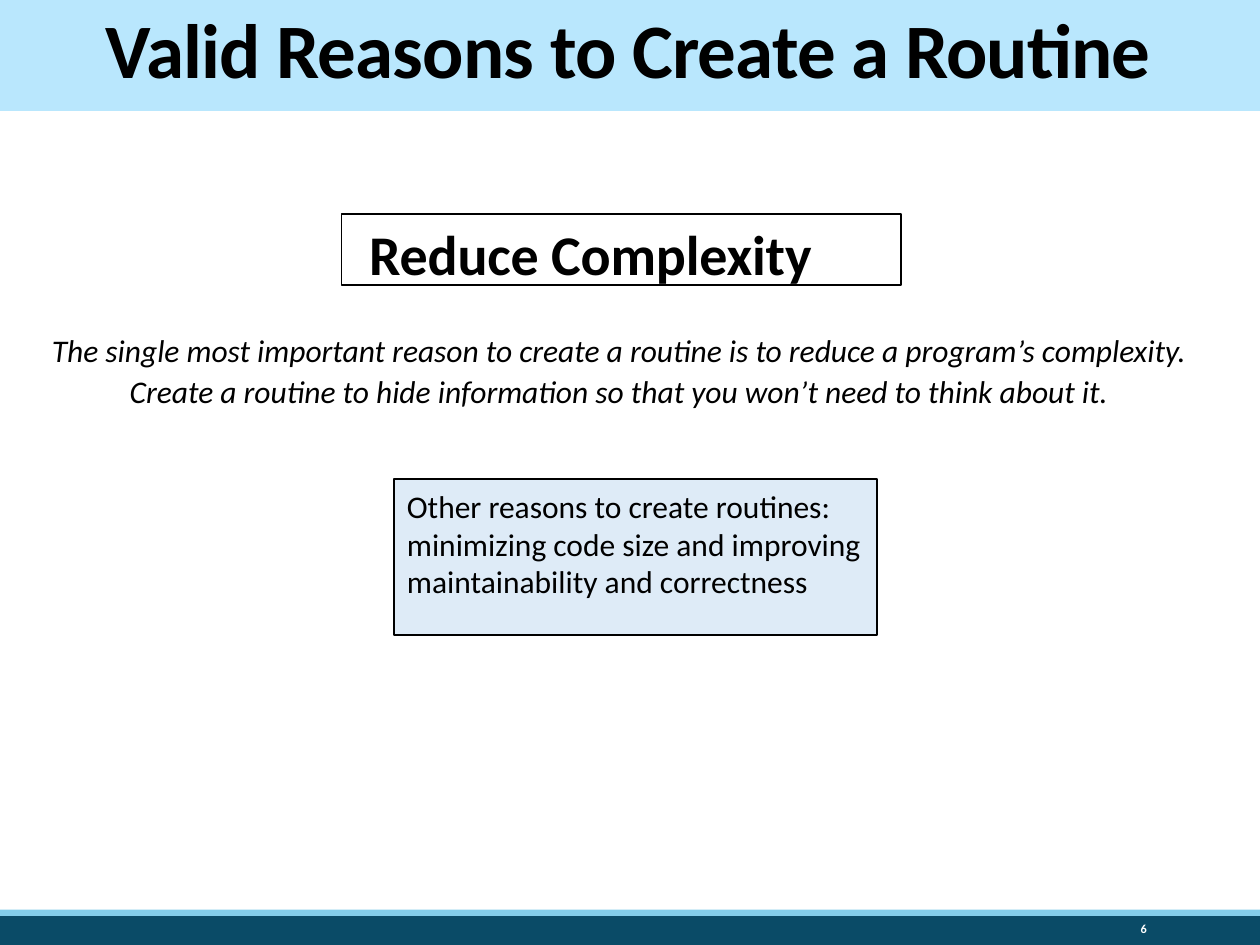
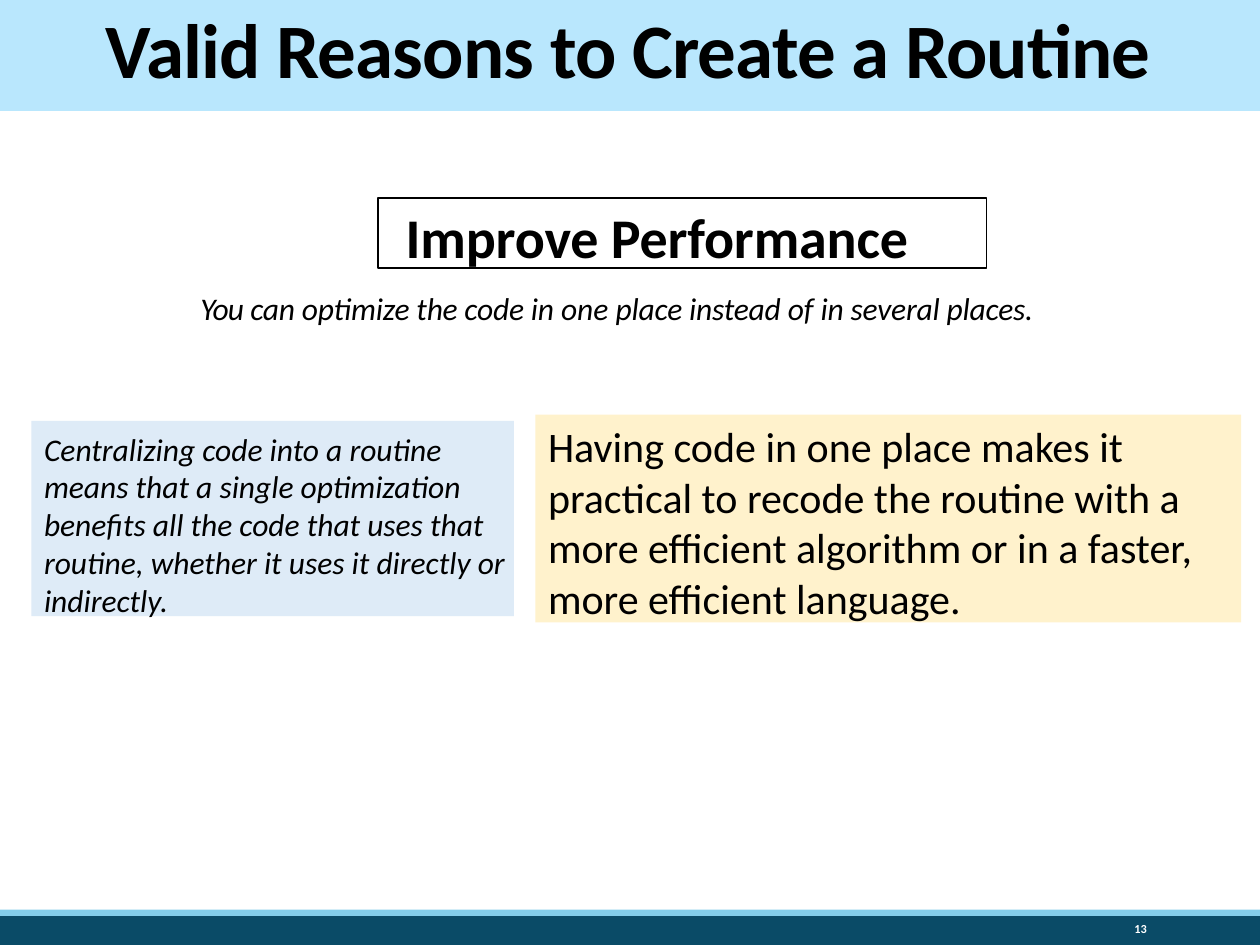
from pptx import Presentation
from pptx.dml.color import RGBColor
from pptx.enum import shapes, text
from pptx.util import Inches, Pt

BLACK = RGBColor(0x00, 0x00, 0x00)
WHITE = RGBColor(0xFF, 0xFF, 0xFF)
NAVY = RGBColor(0x0A, 0x4B, 0x67)
SKY = RGBColor(0x84, 0xCD, 0xEA)
PALE = RGBColor(0xB9, 0xE7, 0xFD)
BLUE = RGBColor(0xDE, 0xEB, 0xF7)
CREAM = RGBColor(0xFF, 0xF2, 0xCC)

LEFT, MID, RIGHT = text.PP_ALIGN.LEFT, text.PP_ALIGN.CENTER, text.PP_ALIGN.RIGHT
TOP, CENTER = text.MSO_ANCHOR.TOP, text.MSO_ANCHOR.MIDDLE
HEAD = "Valid Reasons to Create a Routine"


def assign(item, values):
    for name, value in values.items():
        setattr(item, name, value)


class Deck:
    def __init__(self):
        self.prs = Presentation()
        self.prs.slide_width, self.prs.slide_height = Inches(10), Inches(7.5)
        self.slide = None

    def start(self, number):
        """Add a slide with title, bottom bands and number."""
        self.slide = self.prs.slides.add_slide(self.prs.slide_layouts[5])
        self.rect((0, 7.27, 10, 0.24), NAVY)
        self.rect((0, 7.22, 10, 0.05), SKY)
        self.title(HEAD)
        self.label((8.12, 7.27, 1.08, 0.21), [number], inset=(0.1, 0.05),
                   anchor=CENTER, para={"alignment": RIGHT, "line_spacing": 0.9},
                   size=7, bold=True, color=WHITE)

    def title(self, words):
        shape = self.slide.shapes.title
        spot = dict(zip(("left", "top", "width", "height"),
                        map(Inches, (-0.03, -0.01, 10.03, 0.89))))
        assign(shape, spot)
        shape.fill.solid()
        shape.fill.fore_color.rgb = PALE
        self.put(shape, [[(words, -0.5)]], inset=(0.1, 0.05), anchor=CENTER,
                 para={"alignment": MID, "line_spacing": 0.85}, size=44, bold=True)

    def rect(self, spot, fill=None, line=None):
        shape = self.slide.shapes.add_shape(
            shapes.MSO_SHAPE.RECTANGLE, *map(Inches, spot))
        shape.shadow.inherit = False
        if fill is None:
            shape.fill.background()
        else:
            shape.fill.solid()
            shape.fill.fore_color.rgb = fill
        if line is None:
            shape.line.fill.background()
        else:
            shape.line.color.rgb = line
            shape.line.width = Pt(1)
        return shape

    def label(self, spot, paras, **style):
        box = self.slide.shapes.add_textbox(*map(Inches, spot))
        self.put(box, paras, **style)

    def panel(self, spot, words, fill, line=None, **style):
        self.put(self.rect(spot, fill, line), [words], indent=0.1, **style)

    def topic(self, spot, words):
        self.put(self.rect(spot, line=BLACK), [[(words, -0.1)]],
                 inset=(0, 0.04), indent=0.22, size=32, bold=True)

    def put(self, shape, paras, inset=(0, 0.04), anchor=TOP, para=None,
            indent=0, gap=0, size=18, bold=False, italic=False, color=BLACK):
        """Fill a shape; a paragraph is a string or a list of (words, tracking)."""
        side, top = map(Inches, inset)
        base = side and top
        frame = shape.text_frame
        assign(frame, {"margin_left": side, "margin_right": side,
                       "margin_top": top, "margin_bottom": base,
                       "word_wrap": True, "vertical_anchor": anchor,
                       "auto_size": text.MSO_AUTO_SIZE.NONE})
        face = {"name": "Calibri", "size": Pt(size), "bold": bold, "italic": italic}
        for at, parts in enumerate(paras):
            line = frame.add_paragraph() if at else frame.paragraphs[0]
            assign(line, {"alignment": LEFT, "space_before": Pt(gap if at else 0),
                          **(para or {})})
            props = line._p.get_or_add_pPr()
            props.set("marL", str(Inches(indent)))
            props.set("indent", "0")
            for words, track in [(parts, 0)] if isinstance(parts, str) else parts:
                run = line.add_run()
                run.text = words
                assign(run.font, face)
                run.font.color.rgb = color
                if track:
                    run._r.get_or_add_rPr().set("spc", str(round(track * 100)))


def main():
    deck = Deck()

    # Reduce complexity
    deck.start("6")
    deck.topic((2.71, 1.7, 4.44, 0.56), "Reduce Complexity")
    deck.label((-0.46, 2.58, 10.75, 0.65), [
        "The single most important reason to create a routine is to reduce "
        "a program’s complexity.",
        "Create a routine to hide information so that you won’t need to think about it.",
    ], inset=(0, 0.06), gap=2.2, italic=True,
        para={"alignment": MID, "line_spacing": Pt(20.9)})
    deck.panel((3.13, 3.8, 3.83, 1.24),
               "Other reasons to create routines: minimizing code size and "
               "improving maintainability and correctness",
               BLUE, BLACK, inset=(0, 0.08), para={"line_spacing": 0.99})

    # Improve performance
    deck.start("13")
    deck.topic((3, 1.57, 4.83, 0.56), "Improve Performance")
    deck.label((1.58, 2.27, 7.58, 0.32), [[
        ("You ", -0.5), ("can optimize the code in ", -0.1), ("one ", 0),
        ("place instead ", -0.1), ("of ", 0), ("in several places.", -0.1),
    ]], inset=(0, 0.02), indent=0.01, italic=True)
    deck.panel((0.25, 3.34, 3.83, 1.55),
               "Centralizing code into a routine means that a single optimization "
               "benefits all the code that uses that routine, whether it uses it "
               "directly or indirectly.",
               BLUE, inset=(0, 0.07), italic=True)
    deck.panel((4.25, 3.29, 5.6, 1.65),
               "Having code in one place makes it practical to recode the routine "
               "with a more efficient algorithm or in a faster, more efficient language.",
               CREAM, size=24, para={"line_spacing": 1.01})

    deck.prs.save("out.pptx")


if __name__ == "__main__":
    main()
